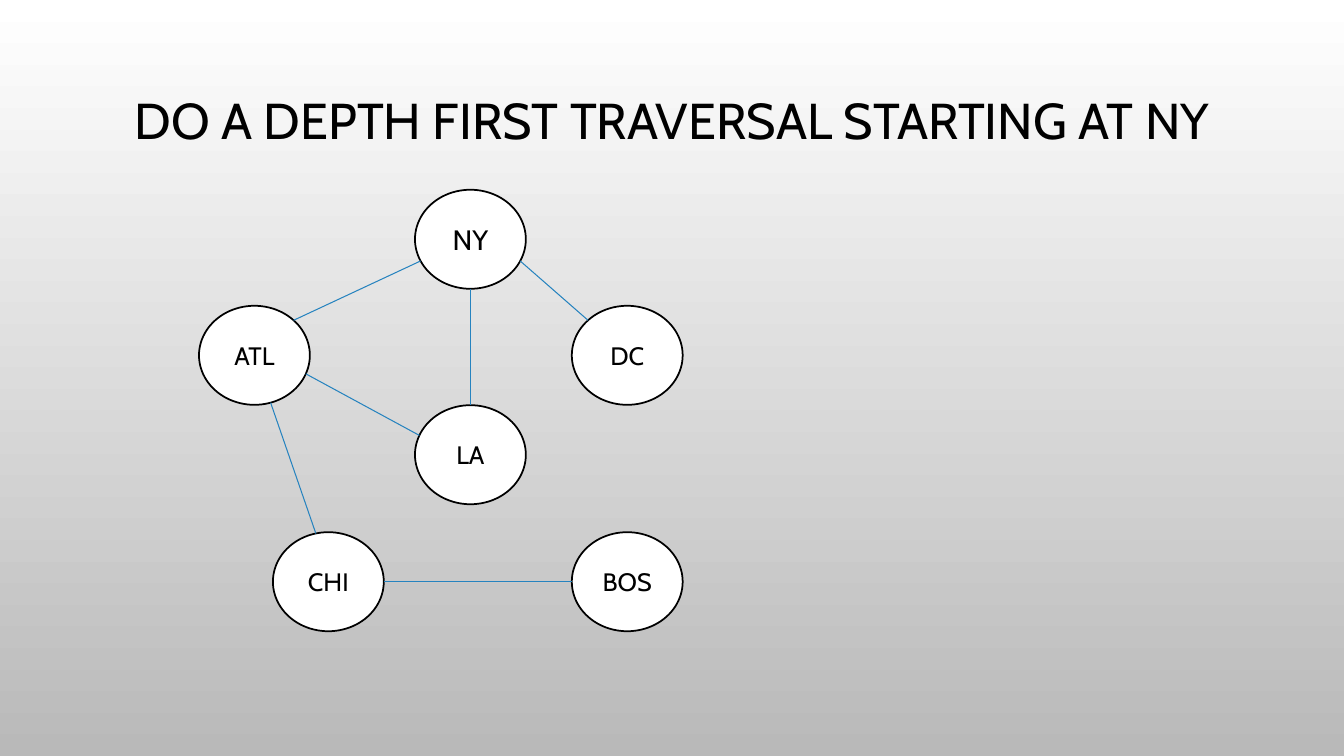
"""Build a slide showing a city graph for a depth first traversal exercise."""
import math

import lxml.etree
import pptx
import pptx.dml.color
import pptx.enum.shapes
import pptx.enum.text
import pptx.oxml.ns
import pptx.util

WIDTH, HEIGHT = 13.33, 7.5
NODE_W, NODE_H = 8.25, 13.1


def color(value):
    return pptx.dml.color.RGBColor.from_string(value)


class Deck:
    font, ink, paper, edge_color = "Cabin", "000000", "FFFFFF", "2683BF"

    def __init__(self, prs):
        self.s = prs.slides.add_slide(prs.slide_layouts[5])

    def x(self, percent):
        return pptx.util.Inches(WIDTH * percent / 100)

    def y(self, percent):
        return pptx.util.Inches(HEIGHT * percent / 100)

    def background(self, *stops):
        fill = self.s.background.fill
        fill.gradient()
        fill.gradient_angle = 270
        for stop, value in zip(fill.gradient_stops, stops):
            stop.color.rgb = color(value)

    def text(self, sp, text, size, wrap):
        tf = sp.text_frame
        tf.text = text
        tf.word_wrap = wrap
        tf.auto_size = pptx.enum.text.MSO_AUTO_SIZE.NONE
        tf.vertical_anchor = pptx.enum.text.MSO_ANCHOR.MIDDLE
        p = tf.paragraphs[0]
        p.alignment = pptx.enum.text.PP_ALIGN.CENTER
        r = p.runs[0]
        r.font.name = self.font
        r.font.size = pptx.util.Pt(size)
        r.font.color.rgb = color(self.ink)
        return p

    def title(self, text, left, top, width, height):
        sp = self.s.shapes.title
        sp.left, sp.top = self.x(left), self.y(top)
        sp.width, sp.height = self.x(width), self.y(height)
        self.text(sp, text, 36, True).line_spacing = 0.9

    def node(self, name, cx, cy, size):
        sp = self.s.shapes.add_shape(
            pptx.enum.shapes.MSO_SHAPE.OVAL,
            self.x(cx - NODE_W / 2), self.y(cy - NODE_H / 2),
            self.x(NODE_W), self.y(NODE_H))
        sp.shadow.inherit = False
        sp.fill.solid()
        sp.fill.fore_color.rgb = color(self.paper)
        sp.line.color.rgb = color(self.ink)
        sp.line.width = pptx.util.Pt(1.25)
        self.text(sp, name, size, False)

    def rim(self, center, degrees):
        angle = math.radians(degrees)
        return (self.x(center[0] + NODE_W / 2 * math.cos(angle)),
                self.y(center[1] + NODE_H / 2 * math.sin(angle)))

    def edge(self, start, start_angle, end, end_angle):
        line = self.s.shapes.add_connector(
            pptx.enum.shapes.MSO_CONNECTOR.STRAIGHT,
            *self.rim(start, start_angle), *self.rim(end, end_angle))
        line.line.color.rgb = color(self.edge_color)
        line.line.width = pptx.util.Pt(0.75)
        lxml.etree.SubElement(line._element.spPr, pptx.oxml.ns.qn("a:effectLst"))


CITIES = {
    "NY": (35, 31.65),
    "ATL": (18.93, 47),
    "DC": (46.67, 47),
    "LA": (35, 60.15),
    "CHI": (24.43, 76.95),
    "BOS": (46.67, 76.95),
}
EDGES = [
    ("NY", 154, "ATL", -45),
    ("NY", 26, "DC", 225),
    ("NY", 90, "LA", 270),
    ("ATL", 22, "LA", 203),
    ("ATL", 73, "CHI", 257),
    ("CHI", 0, "BOS", 180),
]

prs = pptx.Presentation()
prs.slide_width = pptx.util.Inches(WIDTH)
prs.slide_height = pptx.util.Inches(HEIGHT)
deck = Deck(prs)
deck.background("FFFFFF", "B9B9B9")
deck.title("DO A DEPTH FIRST TRAVERSAL STARTING AT NY", 7.5, 4.67, 85, 23.33)
for name, center in CITIES.items():
    deck.node(name, *center, 20 if name == "NY" else 18)
for start, start_angle, end, end_angle in EDGES:
    deck.edge(CITIES[start], start_angle, CITIES[end], end_angle)
prs.save("out.pptx")
